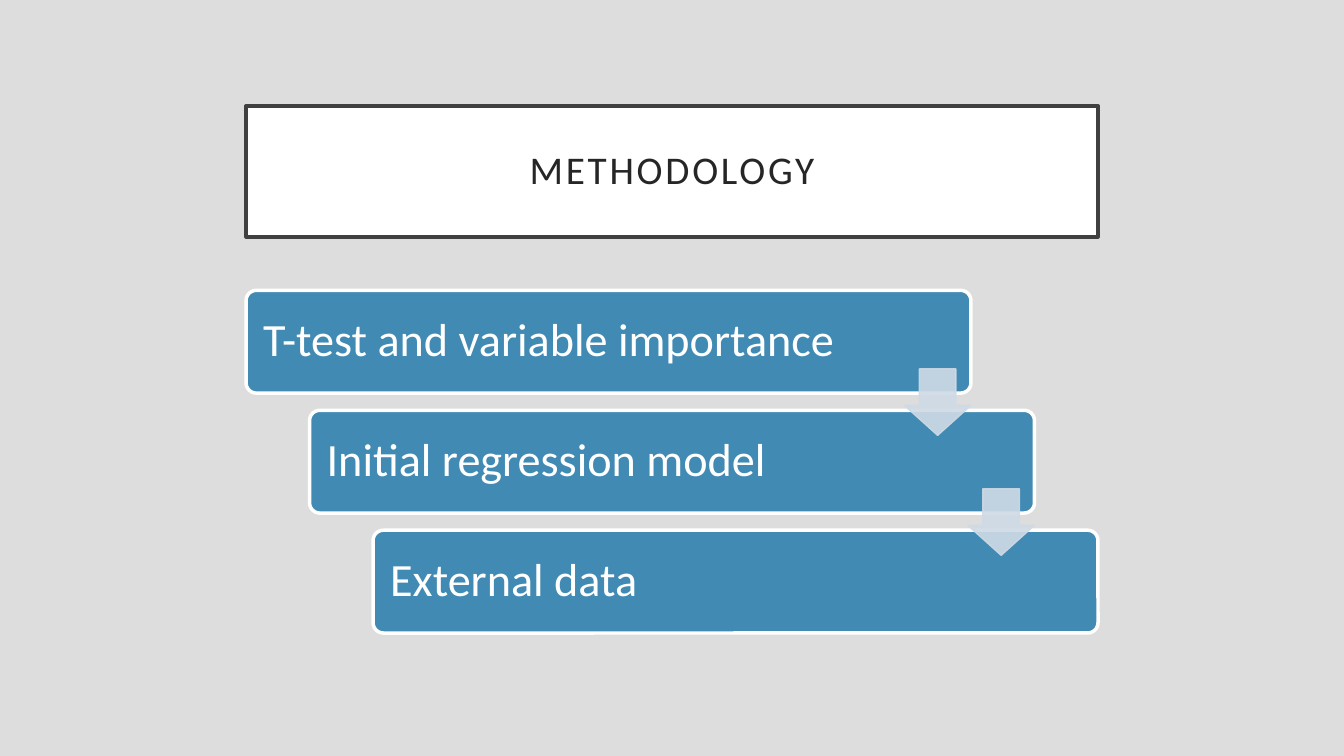
from lxml import etree
from pptx import Presentation
from pptx.dml.color import RGBColor
from pptx.enum import shapes, text
from pptx.oxml import ns
from pptx.util import Inches, Pt

# Content
TITLE = "METHODOLOGY"
STEPS = ["T-test and variable importance", "Initial regression model", "External data"]

# Look
FONT = "Calibri"
COLORS = {"page": "DDDDDD", "white": "FFFFFF", "frame": "404040",
          "title": "262626", "step": "418AB3", "arrow": "CFDAE5"}

# Layout in inches
LEFT, TITLE_TOP, TITLE_WIDTH, TITLE_HEIGHT = 2.44, 1.05, 8.45, 1.3
STEP_TOP, STEP_WIDTH, STEP_HEIGHT = 2.88, 7.19, 1.02
SHIFT_X, SHIFT_Y = (TITLE_WIDTH - STEP_WIDTH) / 2, 1.19
ARROW_SIZE, ARROW_DROP = 0.66, 0.78


def color(name):
    return RGBColor.from_string(COLORS[name])


def place(shape, left, top, width, height):
    shape.left, shape.top = Inches(left), Inches(top)
    shape.width, shape.height = Inches(width), Inches(height)


def paint(shape, fill, line, weight):
    shape.fill.solid()
    shape.fill.fore_color.rgb = color(fill)
    shape.line.color.rgb = color(line)
    shape.line.width = Pt(weight)


def write(shape, words, size, ink, align, inset):
    frame = shape.text_frame
    frame.text = words
    frame.word_wrap = True
    frame.auto_size = text.MSO_AUTO_SIZE.NONE
    frame.vertical_anchor = text.MSO_ANCHOR.MIDDLE
    frame.margin_left = frame.margin_right = Inches(inset)
    frame.margin_top = frame.margin_bottom = Inches(inset)
    para = frame.paragraphs[0]
    para.alignment = align
    para.line_spacing = 0.9
    para.font.name, para.font.size = FONT, Pt(size)
    para.font.color.rgb = color(ink)
    return para


def add_preset(page, kind, box, adjustments):
    shape = page.shapes.add_shape(kind, *(Inches(length) for length in box))
    shape.shadow.inherit = False
    for index, value in enumerate(adjustments):
        shape.adjustments[index] = value
    return shape


deck = Presentation()
deck.slide_width, deck.slide_height = Inches(13.33), Inches(7.5)
page = deck.slides.add_slide(deck.slide_layouts[5])
page.background.fill.solid()
page.background.fill.fore_color.rgb = color("page")

# Framed title
title = page.shapes.title
place(title, LEFT, TITLE_TOP, TITLE_WIDTH, TITLE_HEIGHT)
paint(title, "white", "frame", 2.5)
heading = write(title, TITLE, 28, "title", text.PP_ALIGN.CENTER, 0.2)
heading.runs[0].font._element.set("spc", "200")

# Staircase of steps
for index, words in enumerate(STEPS):
    box = (LEFT + index * SHIFT_X, STEP_TOP + index * SHIFT_Y, STEP_WIDTH, STEP_HEIGHT)
    step = add_preset(page, shapes.MSO_SHAPE.ROUNDED_RECTANGLE, box, [0.1])
    paint(step, "step", "white", 2.5)
    write(step, words, 33, "white", text.PP_ALIGN.LEFT, 0.14)

# Translucent arrows from each step to the next
for index in range(len(STEPS) - 1):
    box = (LEFT + STEP_WIDTH - ARROW_SIZE + index * SHIFT_X,
           STEP_TOP + ARROW_DROP + index * SHIFT_Y, ARROW_SIZE, ARROW_SIZE)
    arrow = add_preset(page, shapes.MSO_SHAPE.DOWN_ARROW, box, [0.55, 0.45])
    paint(arrow, "arrow", "arrow", 1)
    for tint in arrow._element.spPr.iter(ns.qn("a:srgbClr")):
        etree.SubElement(tint, ns.qn("a:alpha"), val="90000")

deck.save("out.pptx")
